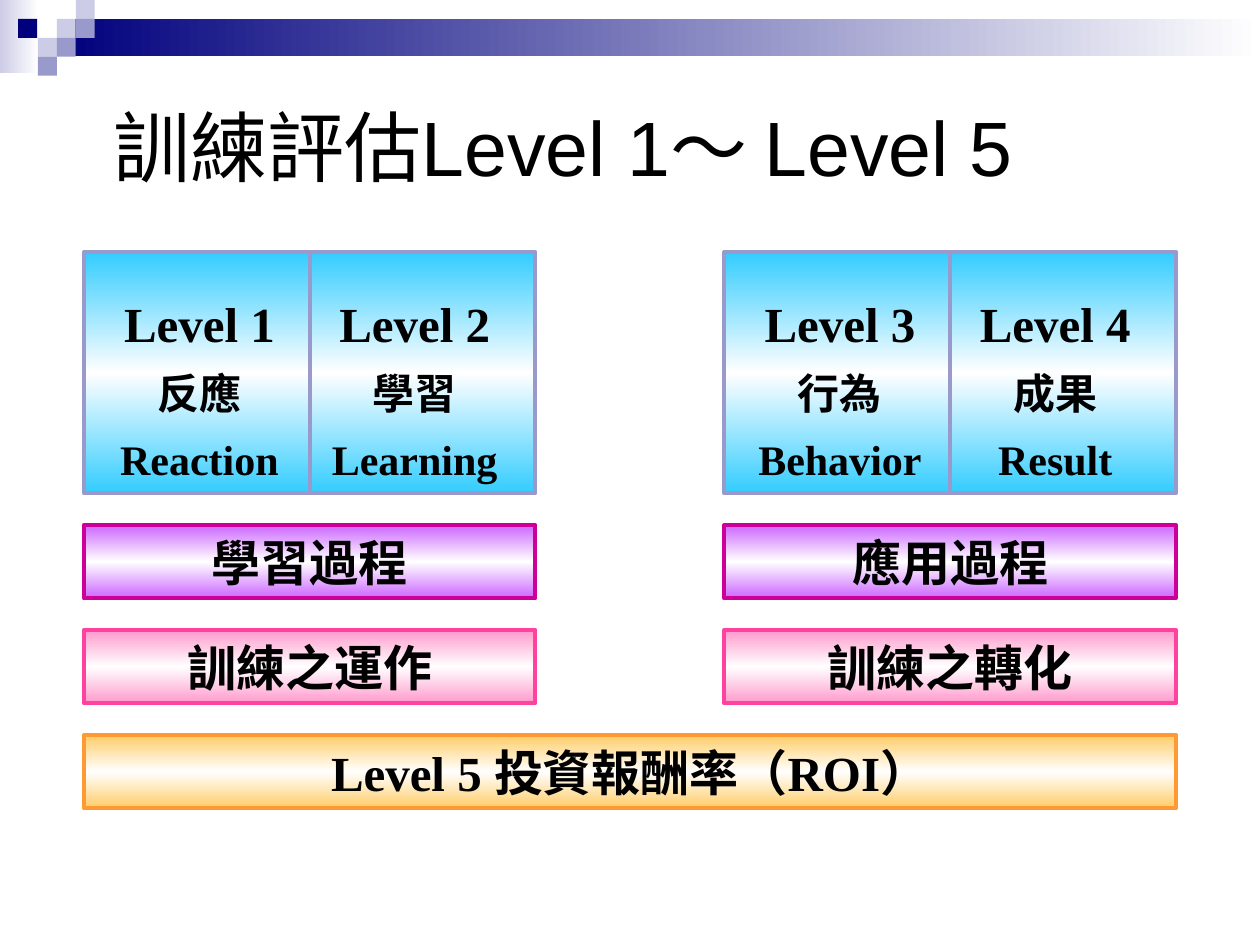
from copy import deepcopy

from lxml.etree import SubElement
from pptx import Presentation
from pptx.dml.color import RGBColor
from pptx.enum.shapes import MSO_CONNECTOR, MSO_SHAPE
from pptx.enum.text import MSO_ANCHOR, MSO_AUTO_SIZE, PP_ALIGN
from pptx.oxml.ns import qn
from pptx.util import Pt

BLACK = RGBColor(0x00, 0x00, 0x00)
WHITE = RGBColor(0xFF, 0xFF, 0xFF)
NAVY = RGBColor(0x00, 0x00, 0x7D)
LAVENDER = RGBColor(0xCC, 0xCC, 0xE6)
PERIWINKLE = RGBColor(0x99, 0x99, 0xCC)
SKY = RGBColor(0x33, 0xCC, 0xFF)
VIOLET = RGBColor(0xCC, 0x66, 0xFF)
MAGENTA = RGBColor(0xCC, 0x00, 0x99)
PINK = RGBColor(0xFF, 0x99, 0xCC)
ROSE = RGBColor(0xFF, 0x41, 0xA0)
AMBER = RGBColor(0xFF, 0xCC, 0x66)
ORANGE = RGBColor(0xFF, 0x99, 0x33)

COLUMN_LEFTS = (48, 414)
COLUMN_WIDTH = 258
BAR_TOP, BAR_STEP, BAR_HEIGHT = 300, 60, 42


class SlideBuilder:
    title_font = "Arial"
    body_font = "Times New Roman"
    line_width = Pt(2.25)

    def __init__(self, slide):
        self.slide = slide

    def add_run(self, paragraph, text, size, font_name, bold=True):
        run = paragraph.add_run()
        run.text = text
        run.font.name = font_name
        run.font.size = Pt(size)
        run.font.bold = bold
        run.font.color.rgb = BLACK

    def title(self, text, left, top, width, height):
        shape = self.slide.shapes.title
        shape.left, shape.top = Pt(left), Pt(top)
        shape.width, shape.height = Pt(width), Pt(height)
        frame = shape.text_frame
        frame.auto_size = MSO_AUTO_SIZE.NONE
        frame.vertical_anchor = MSO_ANCHOR.MIDDLE
        paragraph = frame.paragraphs[0]
        paragraph.alignment = PP_ALIGN.LEFT
        self.add_run(paragraph, text, 44, self.title_font, bold=False)

    def rectangle(self, left, top, width, height, colors, angle=90, line=None):
        """One colour gives a solid fill, two or three an even gradient."""
        shape = self.slide.shapes.add_shape(
            MSO_SHAPE.RECTANGLE, Pt(left), Pt(top), Pt(width), Pt(height))
        shape.shadow.inherit = False
        if len(colors) == 1:
            shape.fill.solid()
            shape.fill.fore_color.rgb = colors[0]
        else:
            shape.fill.gradient()
            shape.fill.gradient_angle = angle
            stop_list = shape._element.spPr.find(".//" + qn("a:gsLst"))
            if len(colors) == 3:
                middle = deepcopy(stop_list[0])
                middle.set("pos", "50000")
                stop_list.insert(1, middle)
            for stop, color in zip(shape.fill.gradient_stops, colors):
                stop.color.rgb = color
        if line is None:
            shape.line.fill.background()
        else:
            shape.line.color.rgb = line
            shape.line.width = self.line_width
        return shape

    def bar(self, text, left, top, width, color, line):
        shape = self.rectangle(left, top, width, BAR_HEIGHT, (color, WHITE, color), line=line)
        frame = shape.text_frame
        frame.word_wrap = False
        frame.vertical_anchor = MSO_ANCHOR.MIDDLE
        paragraph = frame.paragraphs[0]
        paragraph.alignment = PP_ALIGN.CENTER
        self.add_run(paragraph, text, 28, self.body_font)

    def divider(self, panel):
        center = panel.left + panel.width // 2
        connector = self.slide.shapes.add_connector(
            MSO_CONNECTOR.STRAIGHT, center, panel.top, center, panel.top + panel.height)
        connector.begin_connect(panel, 0)
        connector.end_connect(panel, 2)
        connector.line.color.rgb = PERIWINKLE
        connector.line.width = self.line_width
        SubElement(connector._element.spPr, qn("a:effectLst"))

    def level_text(self, lines, left, top, width, height):
        box = self.slide.shapes.add_textbox(Pt(left), Pt(top), Pt(width), Pt(height))
        frame = box.text_frame
        frame.word_wrap = True
        frame.margin_top = Pt(6)
        for index, text in enumerate(lines):
            paragraph = frame.add_paragraph() if index else frame.paragraphs[0]
            paragraph.alignment = PP_ALIGN.CENTER
            if index:
                paragraph.space_before = Pt(9)
            self.add_run(paragraph, text, 24 if index else 28, self.body_font)


def main():
    presentation = Presentation()
    presentation.slide_width, presentation.slide_height = Pt(720), Pt(540)
    builder = SlideBuilder(presentation.slides.add_slide(presentation.slide_layouts[5]))

    # Header band and its mosaic of small squares
    builder.rectangle(0, 0, 22, 42, (WHITE, LAVENDER), angle=180)
    builder.rectangle(32.5, 10.8, 687.5, 21.5, (WHITE, NAVY), angle=180)
    squares = [
        (32.5, 10.8, LAVENDER), (43.3, 0, LAVENDER), (43.3, 10.8, PERIWINKLE),
        (21.7, 21.6, LAVENDER), (10.4, 10.8, NAVY),
        (32.5, 21.6, PERIWINKLE), (21.7, 32.4, PERIWINKLE),
    ]
    for left, top, color in squares:
        builder.rectangle(left, top, 10.8, 10.8, (color,))

    builder.title("訓練評估Level 1～ Level 5", 57.6, 44.6, 592.5, 77.8)

    # Two panels, each holding a pair of levels
    level_pairs = [
        (("Level 1", "反應", "Reaction"), ("Level 2", "學習", "Learning")),
        (("Level 3", "行為", "Behavior"), ("Level 4", "成果", "Result")),
    ]
    for left, (first, second) in zip(COLUMN_LEFTS, level_pairs):
        panel = builder.rectangle(left, 144, COLUMN_WIDTH, 138, (SKY, WHITE, SKY), line=PERIWINKLE)
        builder.divider(panel)
        builder.level_text(first, left + 12, 161.5, 108, 116.5)
        builder.level_text(second, left + 132, 161.5, 114, 116.5)

    # Process bars under each panel
    bar_rows = [
        (("學習過程", "應用過程"), VIOLET, MAGENTA),
        (("訓練之運作", "訓練之轉化"), PINK, ROSE),
    ]
    for row, (labels, color, line) in enumerate(bar_rows):
        for left, label in zip(COLUMN_LEFTS, labels):
            builder.bar(label, left, BAR_TOP + row * BAR_STEP, COLUMN_WIDTH, color, line)

    # Full-width bar for the fifth level
    full_width = COLUMN_LEFTS[-1] + COLUMN_WIDTH - COLUMN_LEFTS[0]
    builder.bar("Level 5 投資報酬率（ROI）", COLUMN_LEFTS[0],
                BAR_TOP + len(bar_rows) * BAR_STEP, full_width, AMBER, ORANGE)

    presentation.save("out.pptx")


if __name__ == "__main__":
    main()
